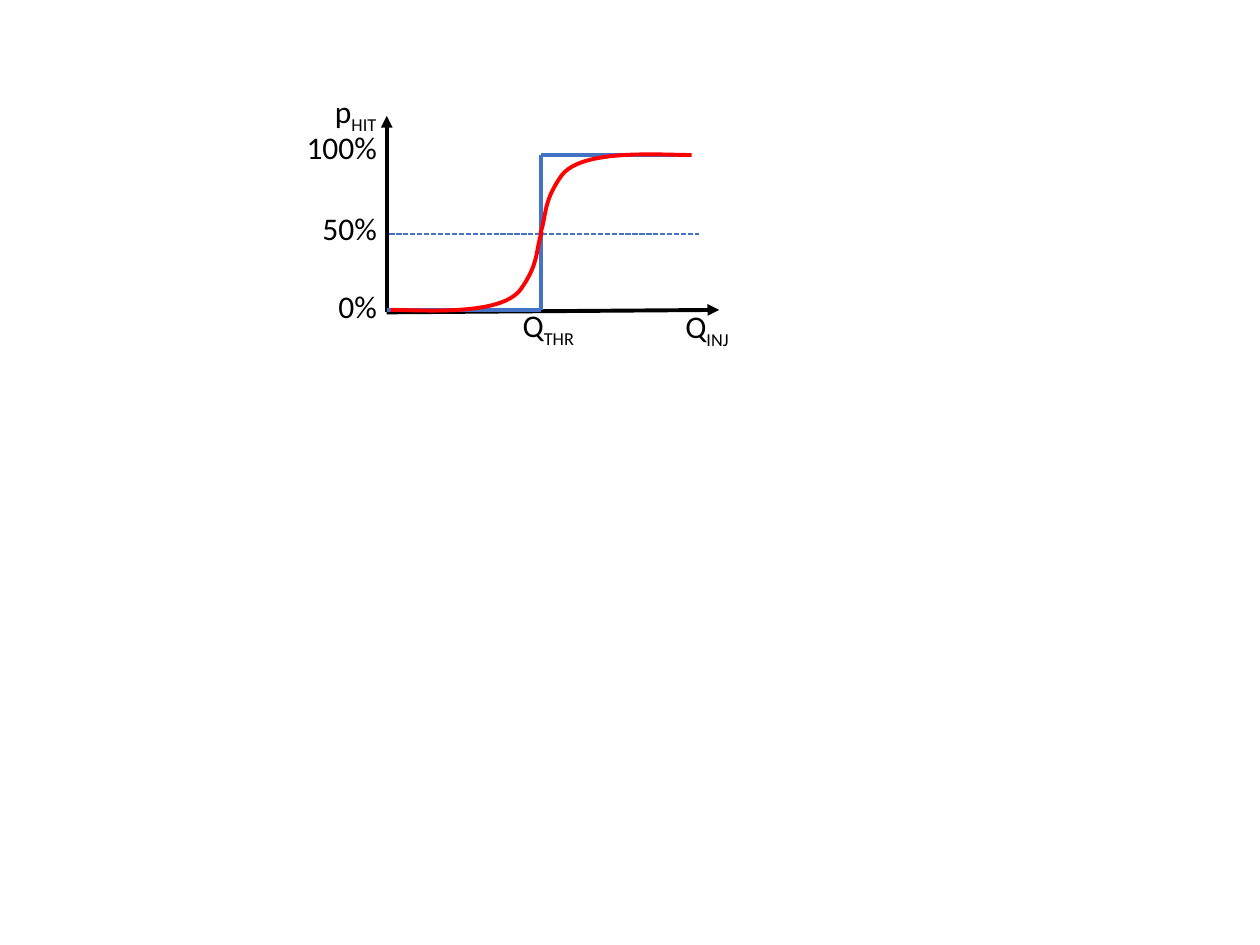
import pptx
import pptx.dml.color
import pptx.enum.dml
import pptx.enum.shapes
import pptx.enum.text
import pptx.oxml
import pptx.oxml.ns
import pptx.util
from dataclasses import dataclass

Pt = pptx.util.Pt


@dataclass(frozen=True)
class Theme:
    font: str = "Calibri"
    label_size: int = 18
    black: str = "000000"
    blue: str = "4472C4"
    red: str = "FF0000"
    thick: float = 2.25
    thin: float = 1


theme = Theme()


def draw_line(shapes, start, end, color, width=theme.thick):
    line = shapes.add_connector(
        pptx.enum.shapes.MSO_CONNECTOR.STRAIGHT, *map(Pt, start + end))
    line.line.color.rgb = pptx.dml.color.RGBColor.from_string(color)
    line.line.width = Pt(width)
    pptx.oxml.ns.qn("a:effectLst")
    line._element.spPr.append(pptx.oxml.parse_xml(
        f'<a:effectLst {pptx.oxml.ns.nsdecls("a")}/>'))
    return line


presentation = pptx.Presentation()
presentation.slide_width, presentation.slide_height = Pt(720), Pt(540)
slide = presentation.slides.add_slide(presentation.slide_layouts[6])

# Axes with arrowheads
origin = (221, 178.5)
axes = slide.shapes.add_group_shape()
for tip in [(221, 66.2), (411, 177.1)]:
    axis = draw_line(axes.shapes, origin, tip, theme.black)
    axis.line._get_or_add_ln().append(pptx.oxml.parse_xml(
        f'<a:tailEnd {pptx.oxml.ns.nsdecls("a")} type="triangle"/>'))

# Ideal step response
step = [(221, 177.1), (308.9, 177.1), (308.9, 88.6), (393.8, 88.6)]
for start, end in zip(step, step[1:]):
    draw_line(slide.shapes, start, end, theme.blue)

# Labels: base text, subscript, left, top, width, right aligned
labels = [
    ("Q", "INJ", 384.5, 172.1, 41.8, False),
    ("p", "HIT", 184.3, 49, 40.3, False),
    ("50%", "", 176.4, 115.9, 46.1, True),
    ("0%", "", 181.4, 160.6, 41.1, True),
    ("100%", "", 167.1, 69.8, 55.4, True),
    ("Q", "THR", 291.6, 171.4, 46.1, False),
]
for base, subscript, left, top, width, right_aligned in labels:
    label = slide.shapes.add_textbox(Pt(left), Pt(top), Pt(width), Pt(29))
    label.text_frame.word_wrap = False
    label.text_frame.auto_size = pptx.enum.text.MSO_AUTO_SIZE.SHAPE_TO_FIT_TEXT
    paragraph = label.text_frame.paragraphs[0]
    paragraph.text = base
    if right_aligned:
        paragraph.alignment = pptx.enum.text.PP_ALIGN.RIGHT
    if subscript:
        run = paragraph.add_run()
        run.text = subscript
        run.font._element.set("baseline", "-25000")
    for run in paragraph.runs:
        run.font.name = theme.font
        run.font.size = Pt(theme.label_size)
        run.font.color.rgb = pptx.dml.color.RGBColor.from_string(theme.black)

# 50% level
level = draw_line(slide.shapes, (222.5, 133.9), (399.6, 133.9), theme.blue, theme.thin)
level.line.dash_style = pptx.enum.dml.MSO_LINE.SQUARE_DOT

# Real response: two cubic pieces sampled, then mirrored through the 50% point
pieces = [
    [(223.2, 177.1), (241.9, 177.1), (285.8, 180.7), (297.4, 165.6)],
    [(297.4, 165.6), (308.2, 150.5), (306, 143.3), (309.6, 132.5)],
]
samples = 24
lower_half = [pieces[0][0]]
for piece in pieces:
    for index in range(1, samples + 1):
        t = index / samples
        weights = [(1 - t) ** 3, 3 * t * (1 - t) ** 2, 3 * t * t * (1 - t), t ** 3]
        lower_half.append(tuple(
            sum(weight * value for weight, value in zip(weights, values))
            for values in zip(*piece)))
upper_half = [(618.5 - x, 265.7 - y) for x, y in lower_half]

for half in (lower_half, upper_half):
    points = [(Pt(x), Pt(y)) for x, y in half]
    builder = slide.shapes.build_freeform(*points[0])
    builder.add_line_segments(points[1:], close=False)
    curve = builder.convert_to_shape()
    curve.shadow.inherit = False
    curve.fill.background()
    curve.line.color.rgb = pptx.dml.color.RGBColor.from_string(theme.red)
    curve.line.width = Pt(theme.thick)

presentation.save("out.pptx")
